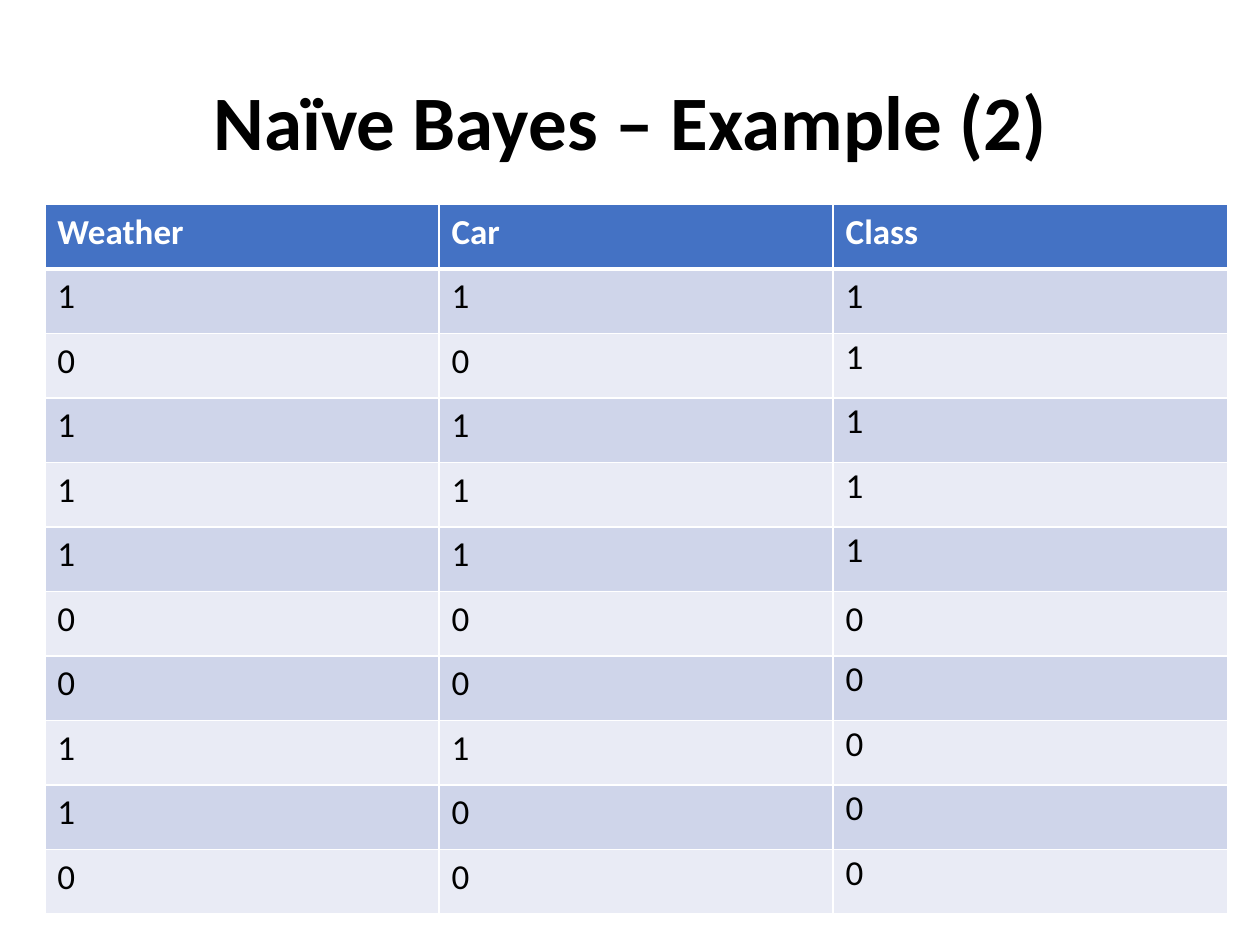
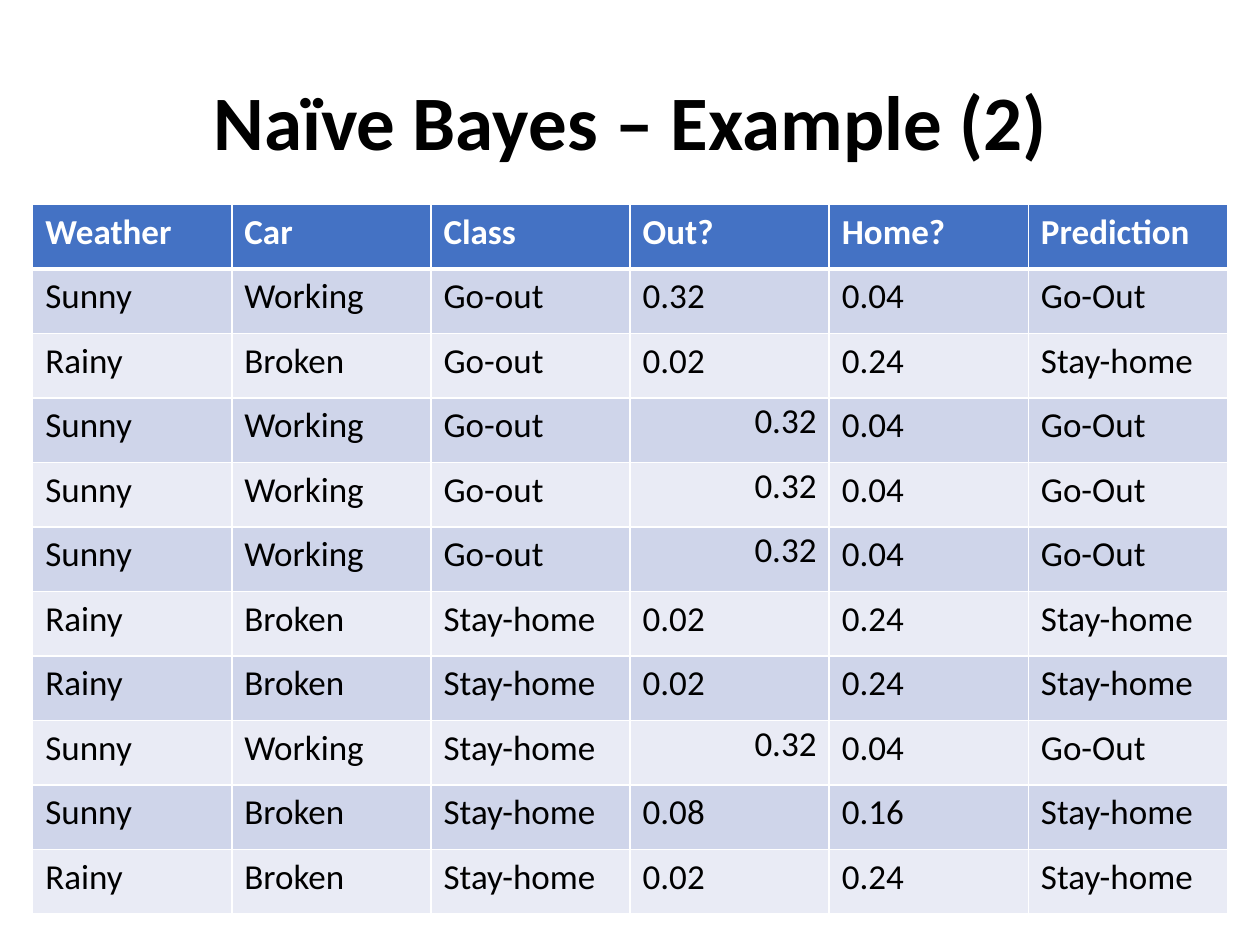
from dataclasses import dataclass

from lxml.etree import SubElement
from pptx import Presentation
from pptx.dml.color import RGBColor as RGB
from pptx.enum.text import MSO_ANCHOR as Anchor, PP_ALIGN as Align
from pptx.oxml.ns import qn
from pptx.util import Pt

# Content: "raised" holds (row, column) of cells set with a tighter line
TITLE = "Naïve Bayes – Example (2)"
SLIDES = [
    {
        "left": 25.6,
        "header": ["Weather", "Car", "Class"],
        "rows": ["111", "001", "111", "111", "111",
                 "000", "000", "110", "100", "000"],
        "raised": {(r, 2) for r in (2, 3, 4, 5, 7, 8, 9, 10)},
        "raised_align": Align.LEFT,
    },
    {
        "left": 18.7,
        "header": ["Weather", "Car", "Class", "Out?", "Home?", "Prediction"],
        "rows": [
            ("Sunny", "Working", "Go-out", "0.32", "0.04", "Go-Out"),
            ("Rainy", "Broken", "Go-out", "0.02", "0.24", "Stay-home"),
            ("Sunny", "Working", "Go-out", "0.32", "0.04", "Go-Out"),
            ("Sunny", "Working", "Go-out", "0.32", "0.04", "Go-Out"),
            ("Sunny", "Working", "Go-out", "0.32", "0.04", "Go-Out"),
            ("Rainy", "Broken", "Stay-home", "0.02", "0.24", "Stay-home"),
            ("Rainy", "Broken", "Stay-home", "0.02", "0.24", "Stay-home"),
            ("Sunny", "Working", "Stay-home", "0.32", "0.04", "Go-Out"),
            ("Sunny", "Broken", "Stay-home", "0.08", "0.16", "Stay-home"),
            ("Rainy", "Broken", "Stay-home", "0.02", "0.24", "Stay-home"),
        ],
        "raised": {(r, 3) for r in (3, 4, 5, 8)},
        "raised_align": Align.RIGHT,
    },
]


@dataclass(frozen=True)
class Theme:
    font: str = "Calibri"
    title_size: int = 44
    cell_size: int = 20
    text: str = "000000"
    header_text: str = "FFFFFF"
    header_fill: str = "4472C4"
    bands: tuple = ("E9EBF5", "CFD5EA")
    border: str = "FFFFFF"
    thin: int = 1
    thick: int = 3
    raised_spacing: float = 0.86


THEME = Theme()
TABLE_TOP, TABLE_RIGHT, ROW_HEIGHT = 116.9, 701.4, 36.86
TITLE_BOX = (18.7, 17.3, 683.3, 108.7)


def style(p, size, color, bold):
    for r in p.runs:
        r.font.name = THEME.font
        r.font.size = Pt(size)
        r.font.bold = bold
        r.font.color.rgb = RGB.from_string(color)


def add_borders(cell, row):
    """Thin lines all round, with a thick one under the header."""
    widths = {"L": THEME.thin, "R": THEME.thin,
              "T": THEME.thick if row == 1 else THEME.thin,
              "B": THEME.thick if row == 0 else THEME.thin}
    tc_pr = cell._tc.get_or_add_tcPr()
    for side, width in widths.items():
        line = SubElement(tc_pr, qn(f"a:ln{side}"), w=str(Pt(width)))
        fill = SubElement(line, qn("a:solidFill"))
        SubElement(fill, qn("a:srgbClr"), val=THEME.border)


def add_table(s, content):
    grid = [content["header"], *content["rows"]]
    n_rows, n_cols = len(grid), len(grid[0])
    width = TABLE_RIGHT - content["left"]
    table = s.shapes.add_table(
        n_rows, n_cols, Pt(content["left"]), Pt(TABLE_TOP),
        Pt(width), Pt(n_rows * ROW_HEIGHT)).table
    for column in table.columns:
        column.width = Pt(width / n_cols)
    for i, values in enumerate(grid):
        table.rows[i].height = Pt(ROW_HEIGHT)
        header = i == 0
        for j, value in enumerate(values):
            cell = table.cell(i, j)
            add_borders(cell, i)
            cell.fill.solid()
            cell.fill.fore_color.rgb = RGB.from_string(
                THEME.header_fill if header else THEME.bands[i % 2])
            cell.text_frame.text = value
            p = cell.text_frame.paragraphs[0]
            p.alignment = Align.LEFT
            if (i, j) in content["raised"]:
                p.alignment = content["raised_align"]
                p.line_spacing = THEME.raised_spacing
            style(p, THEME.cell_size,
                  THEME.header_text if header else THEME.text, header)


def add_title(s):
    tf = s.shapes.add_textbox(*map(Pt, TITLE_BOX)).text_frame
    tf.word_wrap = True
    tf.vertical_anchor = Anchor.MIDDLE
    tf.text = TITLE
    p = tf.paragraphs[0]
    p.alignment = Align.CENTER
    p.line_spacing = 0.9
    style(p, THEME.title_size, THEME.text, True)


def main():
    prs = Presentation()
    prs.slide_width, prs.slide_height = Pt(720), Pt(540)
    for content in SLIDES:
        s = prs.slides.add_slide(prs.slide_layouts[6])
        add_table(s, content)
        add_title(s)
    prs.save("out.pptx")


if __name__ == "__main__":
    main()
